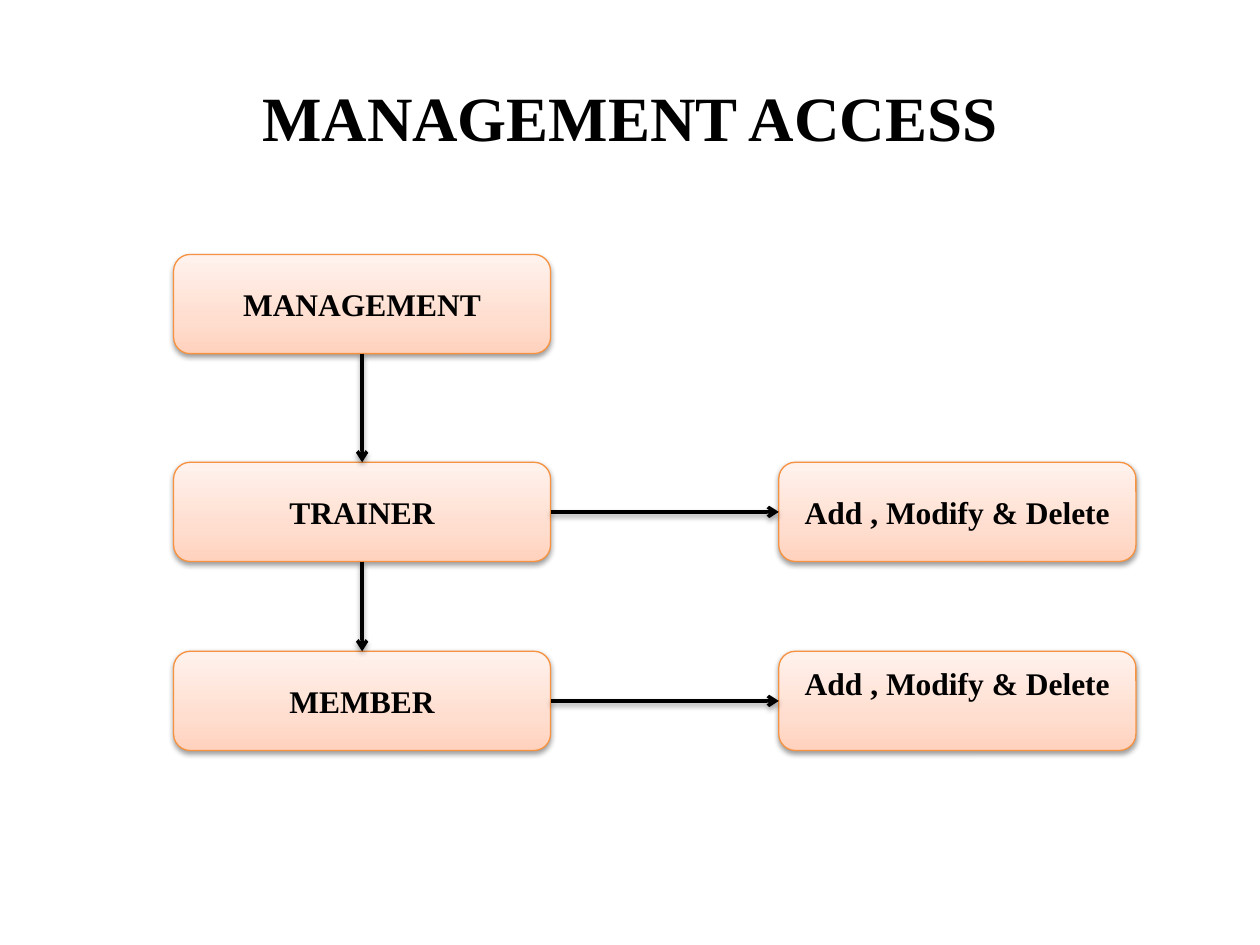
from collections import namedtuple
from copy import deepcopy
from lxml import etree
from pptx import Presentation
from pptx.dml.color import RGBColor
from pptx.enum.shapes import MSO_CONNECTOR, MSO_SHAPE
from pptx.enum.text import MSO_ANCHOR, PP_ALIGN
from pptx.oxml import parse_xml
from pptx.oxml.ns import nsdecls, qn
from pptx.util import Cm, Pt

ROUND = MSO_SHAPE.ROUNDED_RECTANGLE
LINE = MSO_CONNECTOR.STRAIGHT
MIDDLE = MSO_ANCHOR.MIDDLE
CENTER = PP_ALIGN.CENTER
TOP, LEFT, BOTTOM, RIGHT = range(4)

Theme = namedtuple("Theme", "font ink edge blend head body")
theme = Theme(
    font="Times New Roman",
    ink=RGBColor.from_string("000000"),
    edge=RGBColor.from_string("F69240"),
    blend=[(0, "FFD2BD"), (0.35, "FFDED0"), (1, "FFF2ED")],
    head=Pt(36),
    body=Pt(18),
)


def write(shape, text, size):
    frame = shape.text_frame
    frame.word_wrap = True
    frame.vertical_anchor = MIDDLE
    para = frame.paragraphs[0]
    para.text = text
    para.alignment = CENTER
    para.font.name = theme.font
    para.font.size = size
    para.font.bold = True
    para.font.color.rgb = theme.ink


def shade(shape):
    shape._element.spPr.append(parse_xml(
        f'<a:effectLst {nsdecls("a")}>'
        '<a:outerShdw blurRad="40000" dist="20000" dir="5400000" rotWithShape="0">'
        '<a:srgbClr val="000000"><a:alpha val="38000"/></a:srgbClr>'
        '</a:outerShdw></a:effectLst>'))


deck = Presentation()
deck.slide_width, deck.slide_height = Cm(25.4), Cm(19.05)
slide = deck.slides.add_slide(deck.slide_layouts[6])
shapes = slide.shapes

title = shapes.add_textbox(Cm(1.27), Cm(0.76), Cm(22.86), Cm(3.18))
write(title, "MANAGEMENT ACCESS", theme.head)

rows = [5.13, 9.32, 13.13]
roles = (3.5, 7.6)
rights = (15.7, 7.2)
nodes = [
    ("MANAGEMENT", roles, rows[0]),
    ("TRAINER", roles, rows[1]),
    ("MEMBER", roles, rows[2]),
    ("Add , Modify & Delete", rights, rows[1]),
    ("Add , Modify & Delete", rights, rows[2]),
]
boxes = []
for text, (left, width), top in nodes:
    box = shapes.add_shape(ROUND, Cm(left), Cm(top), Cm(width), Cm(2))
    box.fill.gradient()
    box.fill.gradient_angle = 90
    stops = box._element.spPr.find(".//" + qn("a:gsLst"))
    stops.insert(1, deepcopy(stops[0]))
    for stop, (place, color) in zip(box.fill.gradient_stops, theme.blend):
        stop.position = place
        stop.color.rgb = RGBColor.from_string(color)
    box.line.color.rgb = theme.edge
    box.line.width = Pt(0.75)
    shade(box)
    write(box, text, theme.body)
    boxes.append(box)
boxes[-1].text_frame.margin_bottom = Cm(0.86)

boss, coach, member, edit, change = boxes
links = [
    (boss, BOTTOM, coach, TOP),
    (coach, BOTTOM, member, TOP),
    (coach, RIGHT, edit, LEFT),
    (member, RIGHT, change, LEFT),
]
for start, exit_side, end, entry in links:
    link = shapes.add_connector(LINE, 0, 0, 0, 0)
    link.begin_connect(start, exit_side)
    link.end_connect(end, entry)
    link.line.color.rgb = theme.ink
    link.line.width = Pt(2)
    etree.SubElement(link.line._get_or_add_ln(), qn("a:tailEnd"), type="arrow")
    shade(link)

deck.save("out.pptx")
